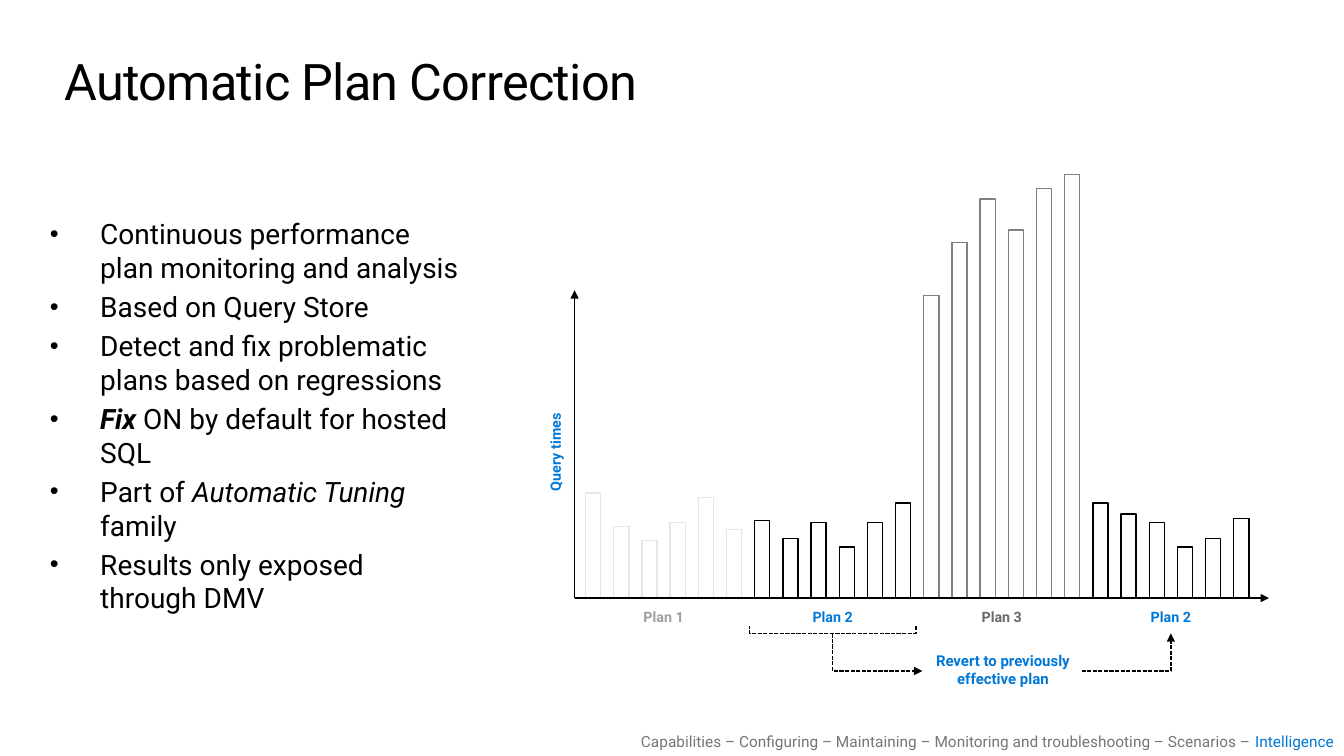
import pptx
import pptx.util
import pptx.dml.color
import pptx.enum.dml
import pptx.enum.shapes
import pptx.enum.text
import pptx.oxml.ns
from lxml import etree

Pt = pptx.util.Pt
qn = pptx.oxml.ns.qn
ALIGN = pptx.enum.text.PP_ALIGN

# Content
FONT = "Roboto"
COLORS = {
    "white": "FFFFFF", "black": "000000", "faded": "E6E6E6", "gray": "808080",
    "blue": "0078D7", "accent": "0078D4", "plan1": "9E9E9E", "plan3": "696969",
    "trail": "75757A",
}
TITLE = "Automatic Plan Correction"
BULLETS = [  # runs: text, bold, italic
    [("Continuous performance plan monitoring and analysis", False, False)],
    [("Based on Query Store", False, False)],
    [("Detect and fix problematic plans based on regressions", False, False)],
    [("Fix", True, True), (" ON by default for hosted SQL", False, False)],
    [("Part of ", False, False), ("Automatic Tuning ", False, True),
     ("family", False, False)],
    [("Results only exposed through DMV", False, False)],
]
PLANS = [  # label, label colour, outline colour, bar heights
    ("Plan 1", "plan1", "faded", [75, 51, 41, 54, 72, 49]),
    ("Plan 2", "blue", "black", [55.5, 42.5, 54, 36.5, 54, 68]),
    ("Plan 3", "plan3", "gray", [216, 254, 285, 263, 292.5, 302.5]),
    ("Plan 2", "blue", "black", [68, 60, 54, 36.5, 42.5, 57]),
]
AXIS_LABEL = "Query times"
REVERT_LABEL = "Revert to previously\veffective plan"
TRAIL = [
    ("Capabilities – Configuring – Maintaining – Monitoring and "
     "troubleshooting – Scenarios – ", "trail"),
    ("Intelligence", "accent"),
]

# Chart geometry
BASE, FIRST_BAR, BAR_PITCH, BAR_WIDTH = 427.2, 418.3, 20.13, 10.8
AXIS_X, AXIS_TOP, AXIS_RIGHT = 410.4, 207.4, 906.5
ROUTE_TOP, ROUTE_BOTTOM = 452.4, 479.3
BRACKET_TOP = 447.4


def rgb(name):
    return pptx.dml.color.RGBColor.from_string(COLORS[name])


def add_run(p, text, size, color, bold=False, italic=False):
    r = p.add_run()
    r.text = text
    r.font.name, r.font.size = FONT, Pt(size)
    r.font.bold, r.font.italic = bold, italic
    r.font.color.rgb = rgb(color)
    return r


def place(s, left, top, width, height):
    s.left, s.top, s.width, s.height = map(Pt, (left, top, width, height))


def clear_frame(s):
    tf = s.text_frame
    tf.margin_left = tf.margin_right = tf.margin_top = tf.margin_bottom = 0
    tf.auto_size = pptx.enum.text.MSO_AUTO_SIZE.NONE
    tf.vertical_anchor = pptx.enum.text.MSO_ANCHOR.TOP
    return tf


def style_line(s, color="black", dashed=False, arrow=False):
    s.line.color.rgb = rgb(color)
    s.line.width = Pt(1)
    if dashed:
        s.line.dash_style = pptx.enum.dml.MSO_LINE.SQUARE_DOT
    if arrow:
        ln = s.element.spPr.find(qn("a:ln"))
        etree.SubElement(ln, qn("a:tailEnd")).set("type", "triangle")


def add_label(cx, cy, width, height, text, color, size=10.2):
    s = slide.shapes.add_textbox(
        Pt(cx - width / 2), Pt(cy - height / 2), Pt(width), Pt(height))
    s.text_frame.word_wrap = False
    p = s.text_frame.paragraphs[0]
    p.alignment = ALIGN.CENTER
    for i, line in enumerate(text.split("\v")):
        if i:
            p.add_line_break()
        add_run(p, line, size, color, bold=True)
    return s


def add_route(points, arrow):
    points = [(Pt(x), Pt(y)) for x, y in points]
    builder = slide.shapes.build_freeform(*points[0])
    builder.add_line_segments(points[1:], close=False)
    s = builder.convert_to_shape()
    s.shadow.inherit = False
    s.fill.background()
    style_line(s, dashed=True, arrow=arrow)


def add_axis(x, y):
    s = slide.shapes.add_connector(
        pptx.enum.shapes.MSO_CONNECTOR.STRAIGHT,
        Pt(AXIS_X), Pt(BASE), Pt(x), Pt(y))
    style_line(s, arrow=True)
    etree.SubElement(s.element.spPr, qn("a:effectLst"))


prs = pptx.Presentation()
prs.slide_width, prs.slide_height = Pt(960), Pt(540)
slide = prs.slides.add_slide(prs.slide_layouts[1])

# Title
title = slide.shapes.title
place(title, 46, 36, 868, 44)
p = clear_frame(title).paragraphs[0]
p.alignment = ALIGN.LEFT
r = add_run(p, TITLE, 36, "black")
r.font._element.set("spc", "-50")

# Bullet list
body = slide.placeholders[1]
place(body, 35.6, 154.8, 296.6, 291)
tf = clear_frame(body)
for i, runs in enumerate(BULLETS):
    p = tf.add_paragraph() if i else tf.paragraphs[0]
    pPr = p._p.get_or_add_pPr()
    pPr.set("marL", str(Pt(36)))
    pPr.set("indent", str(-Pt(36)))
    p.space_before = Pt(4 if i else 0)
    etree.SubElement(pPr, qn("a:buSzPct")).set("val", "90000")
    etree.SubElement(pPr, qn("a:buChar")).set("char", "•")
    for text, bold, italic in runs:
        add_run(p, text, 20, "black", bold, italic)

# Bars and plan labels
group_width = 6 * BAR_PITCH
centers = []
for g, (label, label_color, outline, heights) in enumerate(PLANS):
    left = FIRST_BAR + g * group_width
    for i, height in enumerate(heights):
        s = slide.shapes.add_shape(
            pptx.enum.shapes.MSO_SHAPE.RECTANGLE, Pt(left + i * BAR_PITCH),
            Pt(BASE - height), Pt(BAR_WIDTH), Pt(height))
        s.shadow.inherit = False
        s.fill.solid()
        s.fill.fore_color.rgb = rgb("white")
        style_line(s, outline)
    centers.append(left + (5 * BAR_PITCH + BAR_WIDTH) / 2)
    add_label(centers[g], 441, 45.4, 20.2, label, label_color)

# Axes
add_axis(AXIS_X, AXIS_TOP)
add_axis(AXIS_RIGHT, BASE)
add_label(397, 323, 74.9, 20.2, AXIS_LABEL, "blue").rotation = 270

# Route back to the earlier plan
mid, target = centers[1], centers[3]
add_label(716.4, 478.8, 118.8, 33.8, REVERT_LABEL, "blue", 10.7)
add_route([(mid, ROUTE_TOP), (mid, ROUTE_BOTTOM), (658.8, ROUTE_BOTTOM)], True)
add_route([(772.6, ROUTE_BOTTOM), (target, ROUTE_BOTTOM),
           (target, ROUTE_TOP)], True)
add_route([(mid + 59.4, BRACKET_TOP), (mid + 59.4, ROUTE_TOP),
           (mid - 59.4, ROUTE_TOP), (mid - 59.4, BRACKET_TOP)], False)

# Section trail
s = slide.shapes.add_textbox(Pt(345), Pt(519.1), Pt(615), Pt(20.9))
s.text_frame.word_wrap = True
p = s.text_frame.paragraphs[0]
p.alignment = ALIGN.RIGHT
for text, color in TRAIL:
    add_run(p, text, 11, color)

prs.save("out.pptx")
